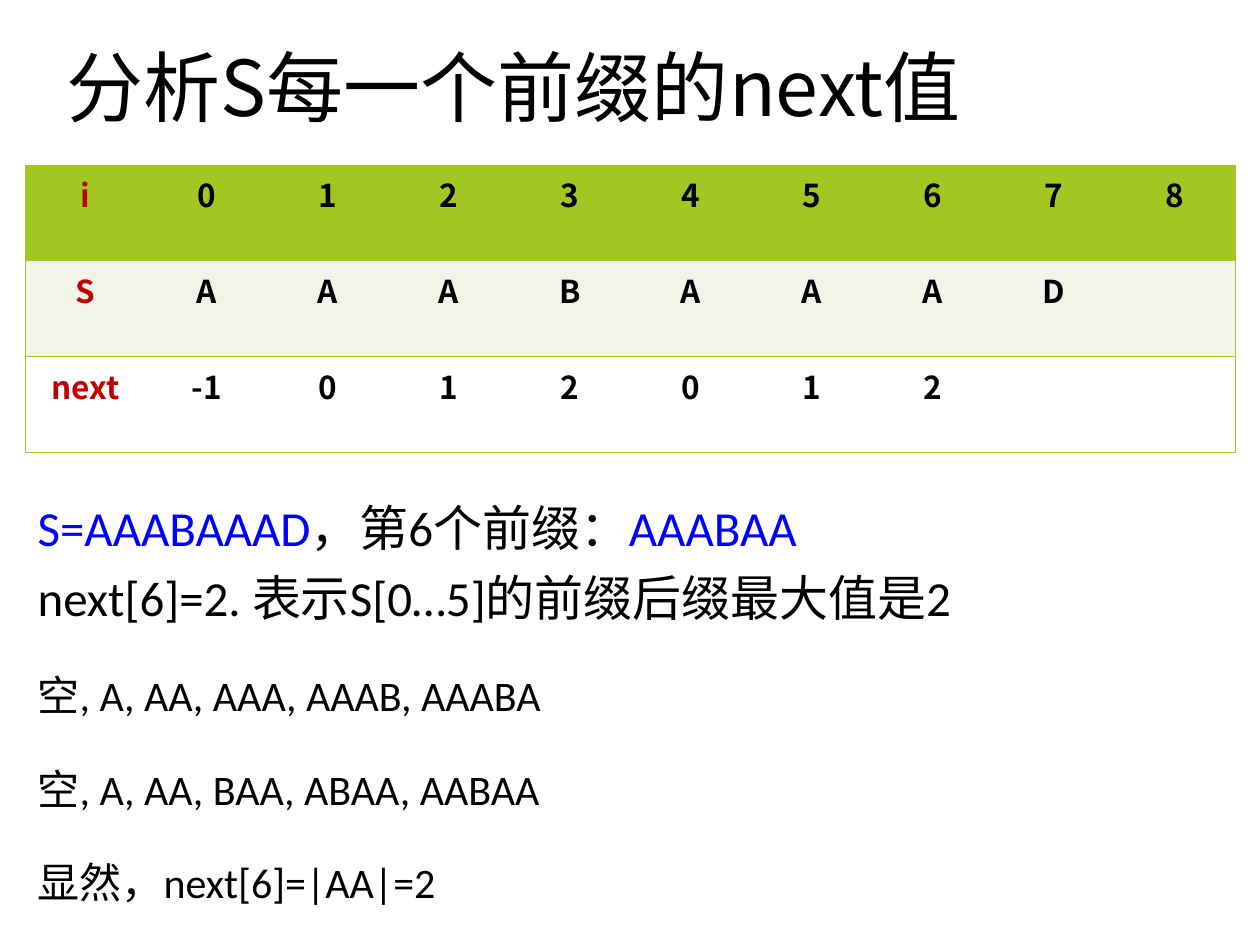
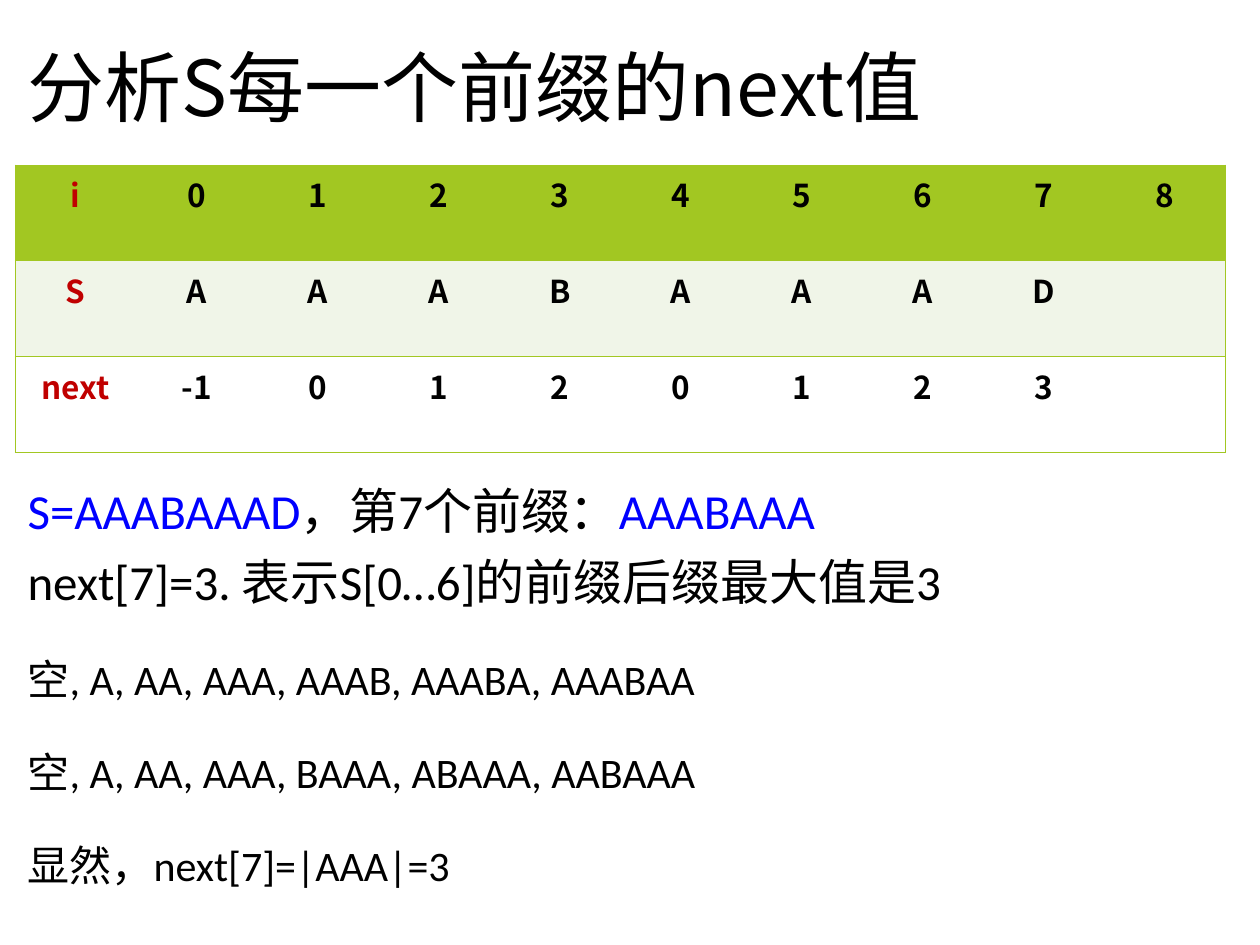
from lxml.etree import SubElement
from pptx import Presentation
from pptx.dml.color import RGBColor
from pptx.enum.text import MSO_ANCHOR, PP_ALIGN
from pptx.oxml.ns import qn
from pptx.util import Inches, Pt

# Shared look
NOTO, LATIN = "Noto Sans CJK SC", "Calibri"
BLACK, BLUE, RED, GREEN = "000000", "0000FF", "C00000", "A2C722"
BANDS = [GREEN, "F0F5E8", "FFFFFF"]
TITLE = "分析S每一个前缀的next值"
COL, ROW = Inches(9.61) // 10, Inches(0.76)


def tint(color):
    return RGBColor.from_string(color)


def write(para, text, size, face, color, bold=False):
    run = para.add_run()
    run.text = text
    font = run.font
    font.size, font.name, font.bold = Pt(size), face, bold
    font.color.rgb = tint(color)
    SubElement(run._r.get_or_add_rPr(), qn("a:ea")).set("typeface", face)


# What differs: title left, left edge, text top, next row, lines of text
PAGES = [
    (0.43, 0.2, 3.95, ["-1", "0", "1", "2", "0", "1", "2", "", ""], [
        [("S=AAABAAAD", BLUE), ("，第6个前缀：", BLACK), ("AAABAA", BLUE)],
        [("next[6]=2. 表示S[0…5]的前缀后缀最大值是2", BLACK)],
        [("空, A, AA, AAA, AAAB, AAABA", BLACK)],
        [("空, A, AA, BAA, ABAA, AABAA", BLACK)],
        [("显然，next[6]=|AA|=2", BLACK)]]),
    (0.12, 0.12, 3.82, ["-1", "0", "1", "2", "0", "1", "2", "3", ""], [
        [("S=AAABAAAD", BLUE), ("，第7个前缀：", BLACK), ("AAABAAA", BLUE)],
        [("next[7]=3. 表示S[0…6]的前缀后缀最大值是3", BLACK)],
        [("空, A, AA, AAA, AAAB, AAABA, AAABAA", BLACK)],
        [("空, A, AA, AAA, BAAA, ABAAA, AABAAA", BLACK)],
        [("显然，next[7]=|AAA|=3", BLACK)]]),
]

deck = Presentation()
deck.slide_width, deck.slide_height = Inches(10), Inches(7.5)

for head, left, top, nexts, lines in PAGES:
    slide = deck.slides.add_slide(deck.slide_layouts[6])

    # Title
    frame = slide.shapes.add_textbox(
        Inches(head), 0, 9 * COL, Inches(1.45)).text_frame
    frame.word_wrap = True
    frame.vertical_anchor = MSO_ANCHOR.MIDDLE
    frame.paragraphs[0].line_spacing = 0.9
    write(frame.paragraphs[0], TITLE, 44, NOTO, BLACK)

    # Prefixes and their derivation
    frame = slide.shapes.add_textbox(
        Inches(left), Inches(top), 10 * COL, Inches(3.55)).text_frame
    frame.word_wrap = True
    for n, line in enumerate(lines):
        para = frame.add_paragraph() if n else frame.paragraphs[0]
        para.space_before = Pt(10 if n else 0)
        para.line_spacing, size = (0.9, 28) if n < 2 else (1.5, 24)
        for text, color in line:
            write(para, text, size, LATIN, color)

    # Table of indices, letters and next values
    rows = [["i", *"012345678"], ["S", *"AAABAAAD", ""], ["next", *nexts]]
    table = slide.shapes.add_table(
        3, 10, Inches(left), Inches(1.31), 10 * COL, 3 * ROW).table
    for r, row in enumerate(rows):
        for c, text in enumerate(row):
            cell = table.cell(r, c)
            props = cell._tc.get_or_add_tcPr()
            edges = {"L": c == 0, "R": c == 9, "T": True, "B": True}
            for side, drawn in edges.items():
                edge = SubElement(props, qn("a:ln" + side), w=str(Pt(0.45)))
                if drawn:
                    fill = SubElement(edge, qn("a:solidFill"))
                    SubElement(fill, qn("a:srgbClr"), val=GREEN)
                else:
                    SubElement(edge, qn("a:noFill"))
            cell.fill.solid()
            cell.fill.fore_color.rgb = tint(BANDS[r])
            if text:
                para = cell.text_frame.paragraphs[0]
                para.alignment = PP_ALIGN.CENTER
                write(para, text, 18, NOTO, BLACK if c else RED, True)

deck.save("out.pptx")
